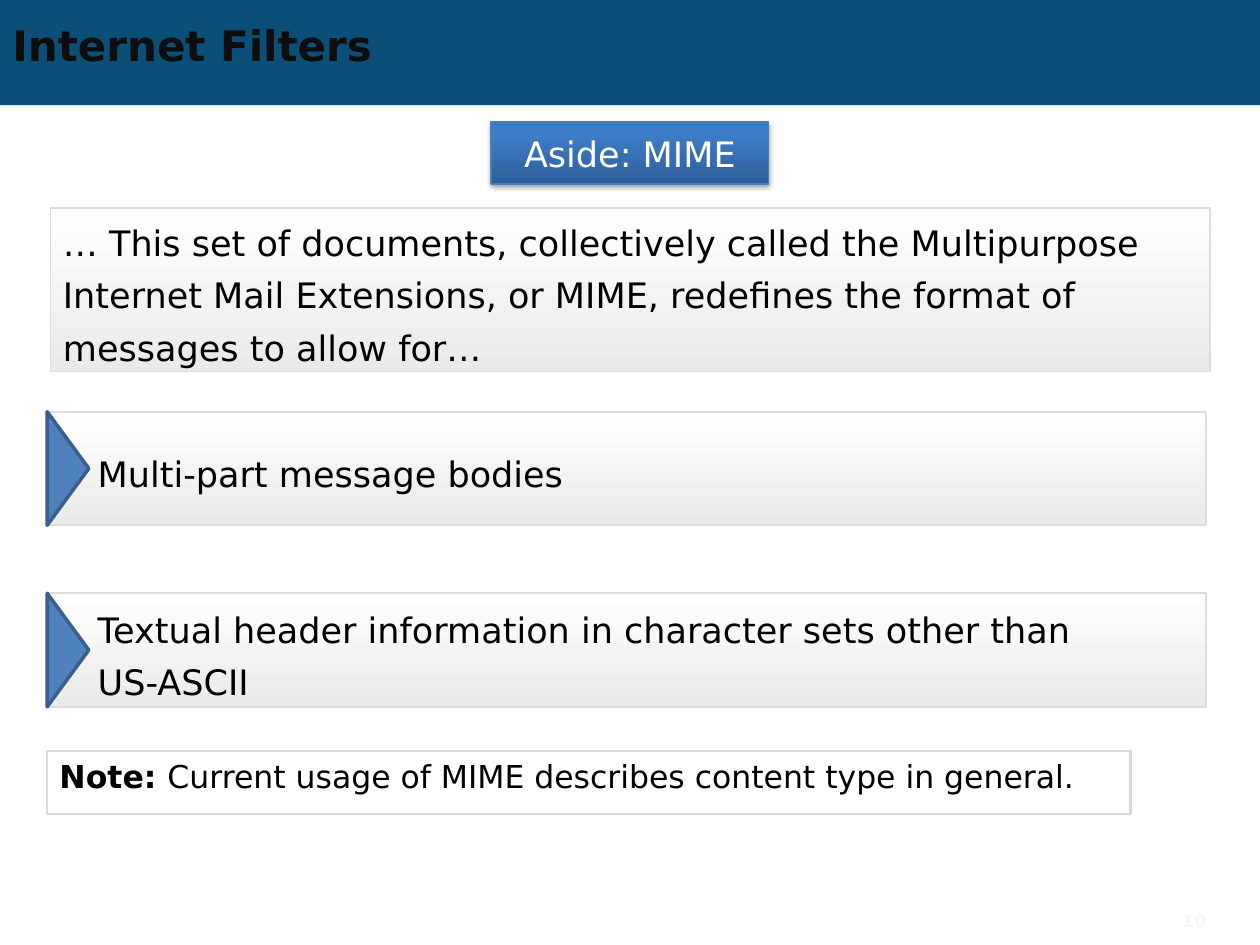
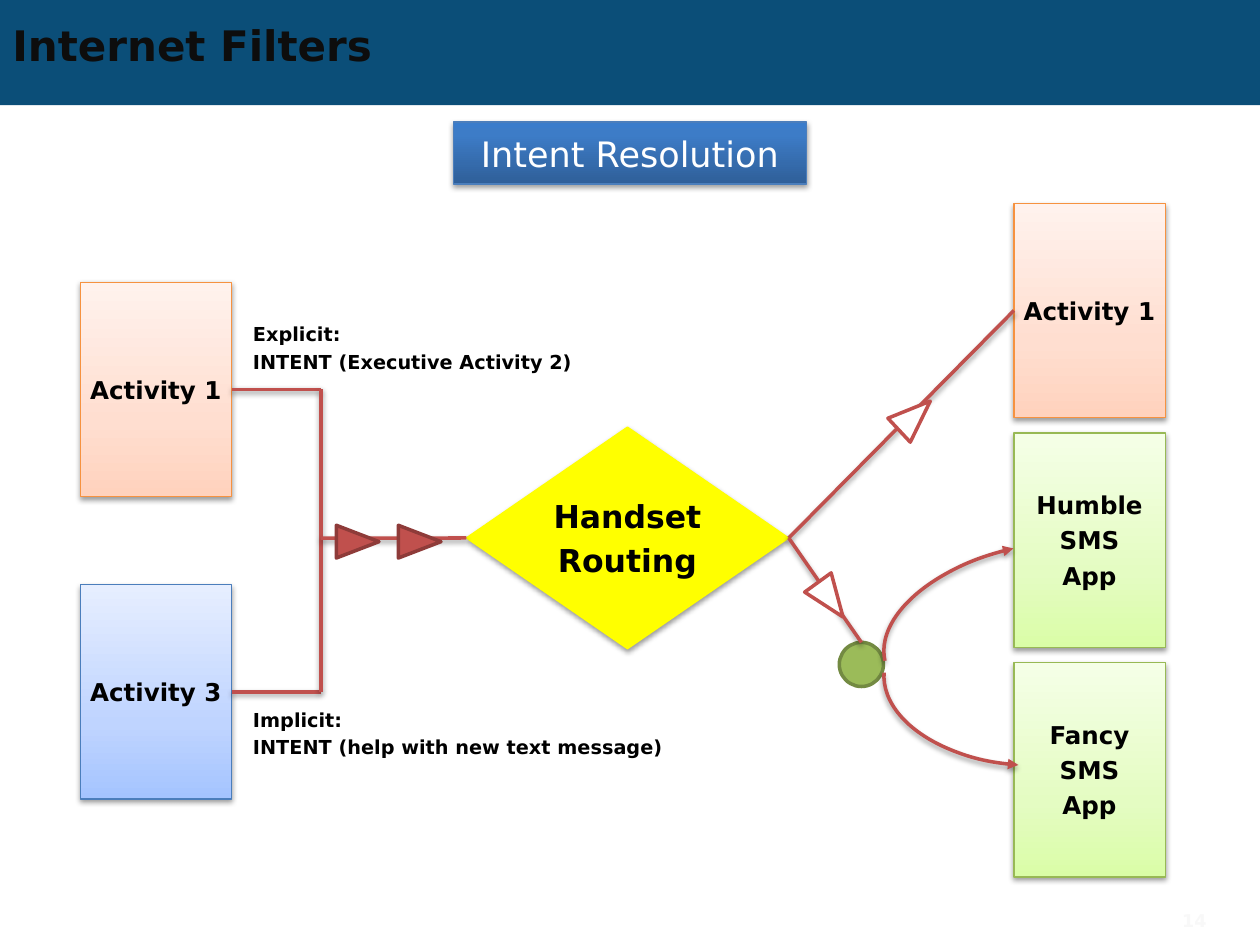
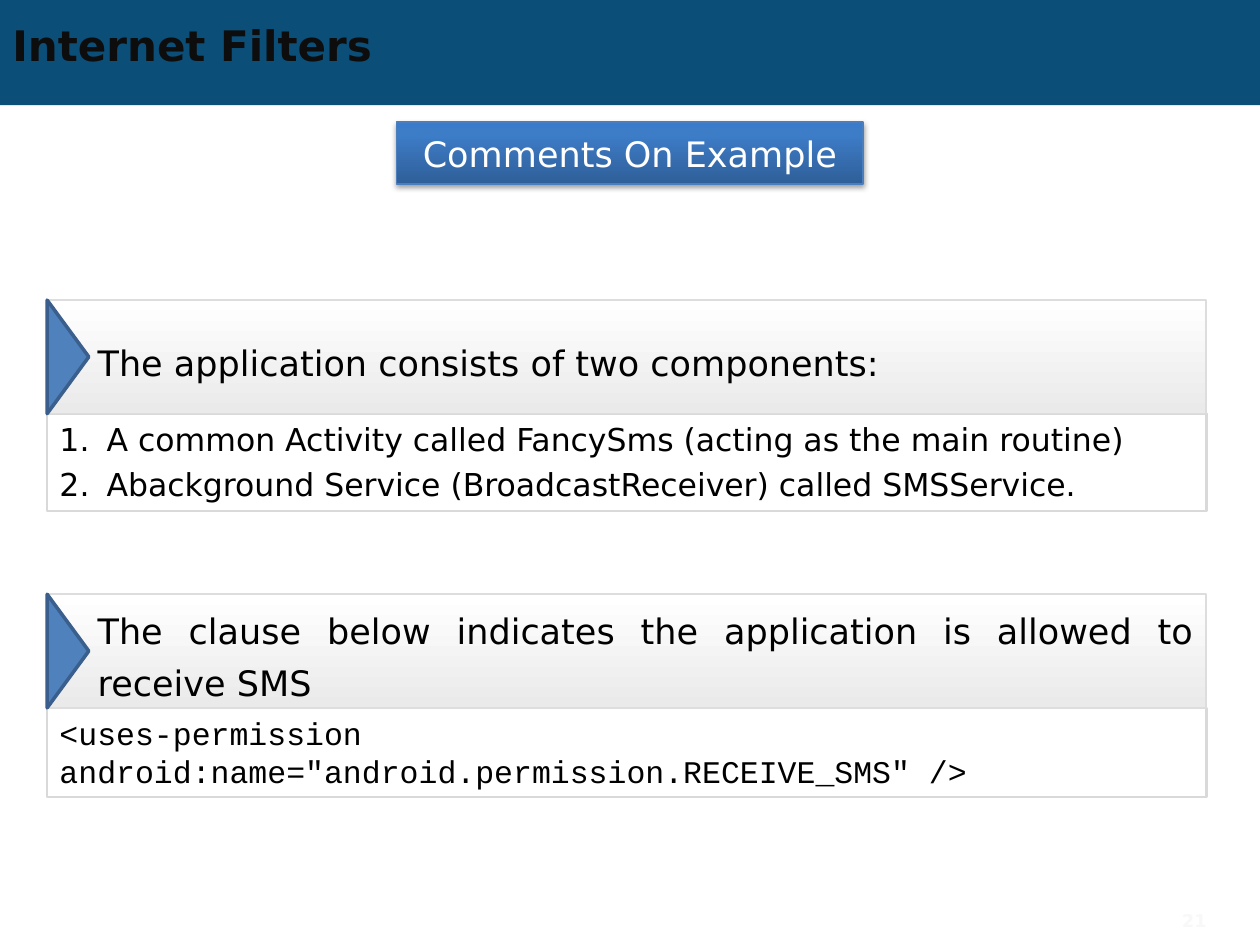
from lxml import etree
from pptx import Presentation
from pptx import util as u
from pptx.dml.color import RGBColor
from pptx.enum import shapes, text
from pptx.oxml.ns import qn

SANS, MONO = "DejaVu Sans", "Courier New"
PAGE_WIDTH, PAGE_HEIGHT = 25.4, 19.05
NAVY, INK, BLACK, WHITE = "0B4E78", "0D0D0D", "000000", "FFFFFF"
RED, DARK_RED, YELLOW = "C0504D", "8E3B39", "FFFF00"
GREEN, DARK_GREEN = "9BBB59", "738A42"
BLUE, DARK_BLUE = "4F81BD", "3A5F8C"
RULE, PALE_RULE, PAGE_NUMBER = "D9D9D9", "DDDDDD", "F8F8F8"

HEADING_FILL = (270, (0, "2F5F99"), (80, "3D7CC7"), (100, "3A7CCB"))
PANEL_FILL = (90, (0, "FFFFFF"), (100, "EAEAEA"))
ORANGE_CARD = ((270, (0, "FFD2BD"), (35, "FFDED0"), (100, "FFF2ED")), "F69240")
BLUE_CARD = ((270, (0, "A4C4FF"), (35, "BFD4FF"), (100, "E6EEFF")), "4B7EBC")
GREEN_CARD = ((270, (0, "DAFDA7"), (35, "E4FCC2"), (100, "F5FFE7")), "98B955")

PANEL_LEFT, PANEL_WIDTH, PANEL_HEIGHT = 0.95, 23.37, 2.29
CARD_WIDTH, CARD_HEIGHT = 3.05, 4.32
TOP, LEFT, BOTTOM, RIGHT = range(4)
KIND = shapes.MSO_SHAPE
ALIGN = text.PP_ALIGN
ANCHOR = text.MSO_ANCHOR


def color(code):
    return RGBColor.from_string(code)


def add_gradient(shape, angle, *stops):
    fill = etree.SubElement(shape._element.spPr, qn("a:gradFill"), rotWithShape="1")
    stop_list = etree.SubElement(fill, qn("a:gsLst"))
    for position, code in stops:
        stop = etree.SubElement(stop_list, qn("a:gs"), pos=str(position * 1000))
        etree.SubElement(stop, qn("a:srgbClr"), val=code)
    etree.SubElement(fill, qn("a:lin"), ang=str(angle * 60000), scaled="0")


def add_effects(shape, shadow):
    effects = etree.SubElement(shape._element.spPr, qn("a:effectLst"))
    if shadow:
        outer = etree.SubElement(
            effects, qn("a:outerShdw"), blurRad=str(u.Pt(3.1)), dist=str(u.Pt(1.6)),
            dir="5400000", rotWithShape="0")
        black = etree.SubElement(outer, qn("a:srgbClr"), val=BLACK)
        etree.SubElement(black, qn("a:alpha"), val="38000")


def add_figure(page, kind, left, top, width, height, fill=None, line=None,
               weight=0.75, shadow=False):
    shape = page.shapes.add_shape(
        kind, u.Cm(left), u.Cm(top), u.Cm(width), u.Cm(height))
    if isinstance(fill, tuple):
        add_gradient(shape, *fill)
    elif fill:
        shape.fill.solid()
        shape.fill.fore_color.rgb = color(fill)
    else:
        shape.fill.background()
    if line:
        shape.line.color.rgb = color(line)
        shape.line.width = u.Pt(weight)
    else:
        shape.line.fill.background()
    add_effects(shape, shadow)
    return shape


def add_span(para, words, size, bold, code, font):
    span = para.add_run()
    span.text = words
    span.font.name = font
    span.font.size = u.Pt(size)
    span.font.bold = bold
    span.font.color.rgb = color(code)


def write(shape, lines, size, bold=False, code=BLACK, font=SANS, align=ALIGN.LEFT,
          anchor=ANCHOR.MIDDLE, wrap=True, spacing=None, before=0, lead=None,
          numbered=False):
    frame = shape.text_frame
    frame.word_wrap = wrap
    frame.vertical_anchor = anchor
    for index, words in enumerate(lines):
        para = frame.add_paragraph() if index else frame.paragraphs[0]
        para.alignment = align
        para.space_before = u.Pt(before)
        if spacing:
            para.line_spacing = u.Pt(spacing)
        if numbered:
            properties = para._p.get_or_add_pPr()
            properties.set("marL", str(u.Cm(0.95)))
            properties.set("indent", str(u.Cm(-0.95)))
            etree.SubElement(properties, qn("a:buAutoNum"), type="arabicPeriod")
        if lead and not index:
            add_span(para, lead, size, True, code, font)
        add_span(para, words, size, bold, code, font)


def add_label(page, left, top, width, height, lines, size, **style):
    box = page.shapes.add_textbox(
        u.Cm(left), u.Cm(top), u.Cm(width), u.Cm(height))
    write(box, lines, size, **style)


def add_page(deck, heading, heading_width, number):
    page = deck.slides.add_slide(deck.slide_layouts[6])
    add_figure(page, KIND.RECTANGLE, 0, 0, PAGE_WIDTH, 2.12, NAVY)
    button = add_figure(page, KIND.RECTANGLE, (PAGE_WIDTH - heading_width) / 2, 2.46,
                        heading_width, 1.25, HEADING_FILL, "4B7EBC", shadow=True)
    write(button, [heading], 20, code=WHITE, align=ALIGN.CENTER)
    add_label(page, 0, 0.36, 22.86, 1.09, ["Internet Filters"], 24, bold=True, code=INK)
    add_label(page, 22.5, 18.15, 2.07, 0.8, [str(number)], 10, bold=True,
              code=PAGE_NUMBER, align=ALIGN.RIGHT)
    return page


def add_pointer(page, center_x, center_y, base, height, angle, fill, line):
    pointer = add_figure(page, KIND.ISOSCELES_TRIANGLE, center_x - base / 2,
                         center_y - height / 2, base, height, fill, line, 2)
    pointer.rotation = angle


def add_panel(page, top, lines):
    panel = add_figure(page, KIND.RECTANGLE, PANEL_LEFT, top, PANEL_WIDTH, PANEL_HEIGHT,
                       PANEL_FILL, PALE_RULE, 1)
    frame = panel.text_frame
    frame.margin_left, frame.margin_right = u.Cm(1.02), u.Cm(0.25)
    frame.margin_top = frame.margin_bottom = 0
    write(panel, lines, 20, align=ALIGN.JUSTIFY, spacing=30)
    add_pointer(page, PANEL_LEFT + 0.42, top + PANEL_HEIGHT / 2, PANEL_HEIGHT, 0.84, 90,
                BLUE, DARK_BLUE)


def add_detail(page, top, width, height, lines, **style):
    detail = add_figure(page, KIND.RECTANGLE, PANEL_LEFT, top, width, height,
                        line=RULE, weight=1.5)
    write(detail, lines, 18, anchor=ANCHOR.TOP, before=4, **style)


def add_card(page, left, top, style, *lines):
    card = add_figure(page, KIND.RECTANGLE, left, top, CARD_WIDTH, CARD_HEIGHT, *style,
                      shadow=True)
    write(card, lines, 14, bold=True, align=ALIGN.CENTER, wrap=False, before=3.2)
    return card


def add_link(page, start, end, source=None, target=None):
    link = page.shapes.add_connector(
        shapes.MSO_CONNECTOR.STRAIGHT, *(u.Cm(length) for length in start + end))
    if source:
        link.begin_connect(*source)
    if target:
        link.end_connect(*target)
    link.line.color.rgb = color(RED)
    link.line.width = u.Pt(2)
    add_effects(link, True)


def add_curve(page, left, top, width, height, angle, flipped=False):
    curve = add_figure(page, KIND.ARC, left, top, width, height, line=RED, weight=2,
                       shadow=True)
    curve.rotation = angle
    properties = curve._element.spPr
    if flipped:
        properties.find(qn("a:xfrm")).set("flipV", "1")
    etree.SubElement(properties.find(qn("a:ln")), qn("a:tailEnd"), type="triangle")


def build_mime(deck):
    page = add_page(deck, "Aside: MIME", 5.6, 10)
    statement = add_figure(page, KIND.RECTANGLE, 1.02, 4.19, PANEL_WIDTH, 3.3,
                           PANEL_FILL, PALE_RULE, 1)
    write(statement, ["… This set of documents, collectively called the Multipurpose "
                      "Internet Mail Extensions, or MIME, redefines the format of "
                      "messages to allow for…"], 20, spacing=30)
    add_panel(page, 8.3, ["Multi‐part message bodies"])
    add_panel(page, 11.96, ["Textual header information in character sets other than",
                            "US‐ASCII"])
    add_detail(page, 15.14, 21.84, 1.27,
               ["Current usage of MIME describes content type in general."],
               lead="Note: ")


def build_resolution(deck):
    page = add_page(deck, "Intent Resolution", 7.12, 14)
    left, right, first_top, pitch = 1.62, 20.44, 4.1, 4.63
    explicit = add_card(page, left, 5.69, ORANGE_CARD, "Activity 1")
    implicit = add_card(page, left, 11.79, BLUE_CARD, "Activity 3")
    activity = add_card(page, right, first_top, ORANGE_CARD, "Activity 1")
    for row, name in enumerate(("Humble", "Fancy"), 1):
        add_card(page, right, first_top + row * pitch, GREEN_CARD, name, "SMS", "App")

    router = add_figure(page, KIND.FLOWCHART_DECISION, 9.4, 8.61, 6.5, 4.47, YELLOW,
                        YELLOW, shadow=True)
    write(router, ["Handset", "Routing"], 18, bold=True, align=ALIGN.CENTER,
          wrap=False, before=4)
    choice = add_figure(page, KIND.OVAL, 16.92, 12.95, 0.89, 0.89, GREEN, DARK_GREEN, 2)

    trunk, middle = 6.47, 10.85
    card_edge = left + CARD_WIDTH
    ends = []
    for card, top in ((explicit, 5.69), (implicit, 11.79)):
        height = top + CARD_HEIGHT / 2
        add_link(page, (card_edge, height), (trunk, height), source=(card, RIGHT))
        ends.append((trunk, height))
    add_link(page, *ends)
    add_link(page, (trunk, middle), (9.4, middle), target=(router, LEFT))
    add_link(page, (15.9, middle), (right, 6.26), (router, RIGHT), (activity, LEFT))
    add_link(page, (15.9, middle), (17.37, 12.95), (router, RIGHT), (choice, TOP))

    for x, y, angle, fill, line in (
            (7.21, 10.92, 90, RED, DARK_RED), (8.46, 10.92, 90, RED, DARK_RED),
            (18.44, 8.38, 47, WHITE, RED), (16.74, 12.09, 144, WHITE, RED)):
        add_pointer(page, x, y, 0.66, 0.86, angle, fill, line)
    add_curve(page, 19.15, 9.63, 3.28, 6.05, 257.3)
    add_curve(page, 18.97, 10.92, 3.35, 5.66, 93.9, flipped=True)

    for top, width, lines in (
            (6.38, 7.09, ("Explicit:", "INTENT (Executive Activity 2)")),
            (14.15, 8.94, ("Implicit:", "INTENT (help with new text message)"))):
        add_label(page, 4.85, top, width, 1.3, lines, 11, bold=True, wrap=False,
                  anchor=ANCHOR.TOP, before=2.5)


def build_comments(deck):
    page = add_page(deck, "Comments On Example", 9.4, 21)
    add_detail(page, 8.34, PANEL_WIDTH, 1.96,
               ["A common Activity called FancySms (acting as the main routine)",
                "Abackground Service (BroadcastReceiver) called SMSService."],
               numbered=True)
    add_panel(page, 6.05, ["The application consists of two components:"])
    add_detail(page, 14.27, PANEL_WIDTH, 1.8,
               ['<uses‐permission android:name="android.permission.RECEIVE_SMS" />'],
               font=MONO)
    add_panel(page, 11.98, ["The clause below indicates the application is allowed to "
                            "receive SMS"])


def main():
    deck = Presentation()
    deck.slide_width, deck.slide_height = u.Cm(PAGE_WIDTH), u.Cm(PAGE_HEIGHT)
    build_mime(deck)
    build_resolution(deck)
    build_comments(deck)
    deck.save("out.pptx")


if __name__ == "__main__":
    main()
